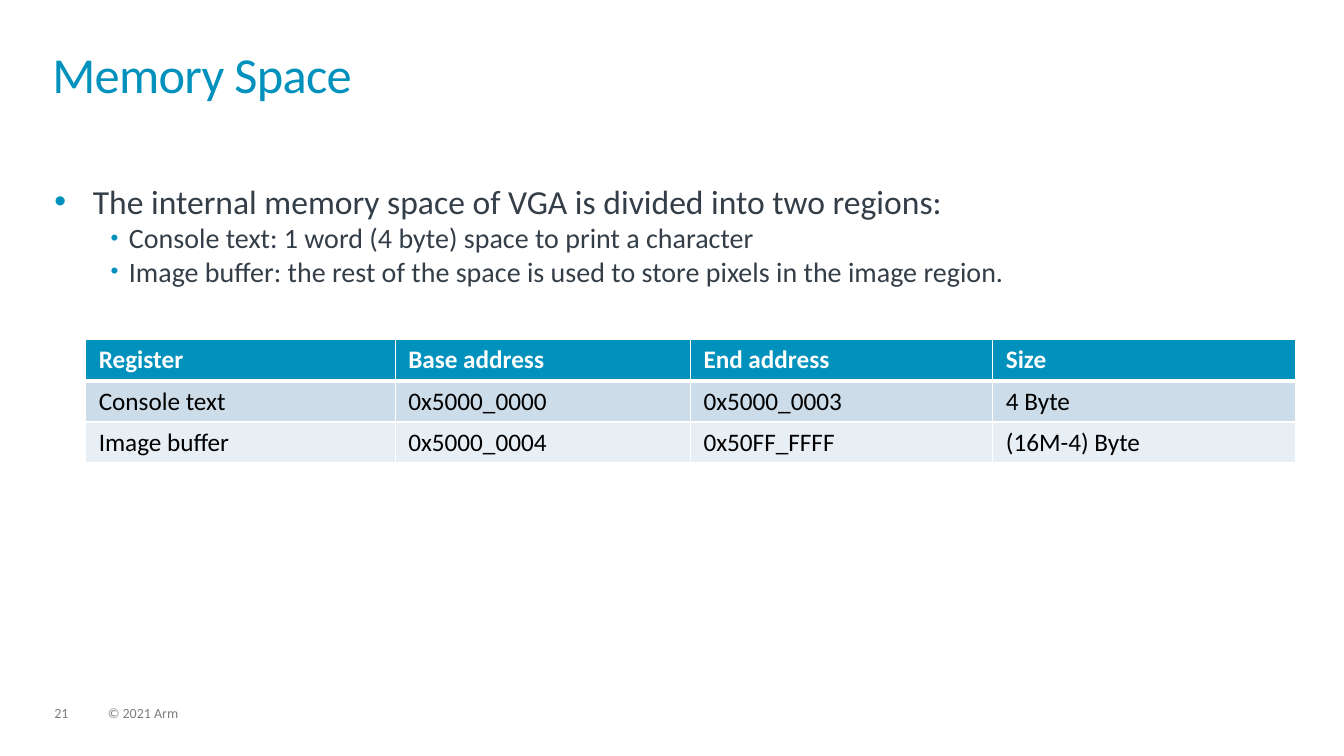
from dataclasses import dataclass

from lxml.etree import SubElement
from pptx import Presentation
from pptx.dml.color import RGBColor as RGB
from pptx.enum.text import MSO_ANCHOR as Anchor, MSO_AUTO_SIZE as AutoSize, PP_ALIGN as Align
from pptx.oxml.ns import qn
from pptx.util import Cm, Pt


@dataclass(frozen=True)
class Theme:
    """Colours, font and type sizes of the slide."""
    font: str = "Calibri"
    accent: str = "0091BD"
    ink: str = "333E48"
    grey: str = "7F7F7F"
    white: str = "FFFFFF"
    black: str = "000000"
    bands: tuple = ("CCDCE8", "E7EEF4")
    title: int = 36
    body: tuple = (24, 20)
    cell: int = 18
    footer: int = 10


T = Theme()
BULLETS = [
    (0, "The internal memory space of VGA is divided into two regions:"),
    (1, "Console text: 1 word (4 byte) space to print a character"),
    (1, "Image buffer: the rest of the space is used to store pixels in the image region."),
]
LEVELS = [(Cm(0.97), Cm(-0.97), 100), (Cm(1.88), Cm(-0.46), 80)]
REGISTERS = [
    ("Register", "Base address", "End address", "Size"),
    ("Console text", "0x5000_0000", "0x5000_0003", "4 Byte"),
    ("Image buffer", "0x5000_0004", "0x50FF_FFFF", "(16M-4) Byte"),
]
COLUMNS = (7.8, 7.44, 7.62, 7.62)
ROW = 1.03


def write(p, text, size, color, bold=False, spacing=1.0, tracking=0):
    """Write one formatted run into a paragraph."""
    p.alignment = Align.LEFT
    p.line_spacing = spacing
    p.space_before = Pt(0)
    r = p.add_run()
    r.text = text
    r.font.name = T.font
    r.font.size = Pt(size)
    r.font.bold = bold
    r.font.color.rgb = RGB.from_string(color)
    if tracking:
        r.font._element.set("spc", str(tracking))


def frame(sp, left, top, width, height):
    """Place a shape and return its text frame without margins."""
    sp.left, sp.top, sp.width, sp.height = Cm(left), Cm(top), Cm(width), Cm(height)
    tf = sp.text_frame
    tf.word_wrap = True
    tf.auto_size = AutoSize.NONE
    tf.vertical_anchor = Anchor.TOP
    tf.margin_left = tf.margin_top = tf.margin_right = tf.margin_bottom = 0
    return tf


def add_bullet(p, level):
    """Give a paragraph the bullet and indent of its level."""
    left, indent, percent = LEVELS[level]
    p.level = level
    pPr = p._p.get_or_add_pPr()
    pPr.set("marL", str(left))
    pPr.set("indent", str(indent))
    color = SubElement(pPr, qn("a:buClr"))
    SubElement(color, qn("a:srgbClr"), val=T.accent)
    SubElement(pPr, qn("a:buSzPct"), val=str(percent * 1000))
    SubElement(pPr, qn("a:buFont"), typeface="Arial")
    SubElement(pPr, qn("a:buChar"), char="•")


def add_list(sp, items):
    """Fill the body placeholder with a two-level list."""
    tf = frame(sp, 1.37, 4.55, 31.06, 3.94)
    for i, (level, text) in enumerate(items):
        p = tf.add_paragraph() if i else tf.paragraphs[0]
        add_bullet(p, level)
        write(p, text, T.body[level], T.ink)


def set_borders(cell, bottom):
    """Draw white borders around a cell."""
    tcPr = cell._tc.get_or_add_tcPr()
    for i, (side, width) in enumerate((("L", 1), ("R", 1), ("T", 1), ("B", bottom))):
        ln = tcPr.makeelement(qn(f"a:ln{side}"), {"w": str(Pt(width))})
        fill = SubElement(ln, qn("a:solidFill"))
        SubElement(fill, qn("a:srgbClr"), val=T.white)
        tcPr.insert(i, ln)


def add_register_table(s, rows):
    """Add the table with a header row and banded rows."""
    table = s.shapes.add_table(len(rows), len(COLUMNS), Cm(2.16), Cm(8.56),
                               Cm(sum(COLUMNS)), Cm(ROW * len(rows))).table
    for column, width in zip(table.columns, COLUMNS):
        column.width = Cm(width)
    for i, values in enumerate(rows):
        header = i == 0
        fill = T.accent if header else T.bands[(i - 1) % 2]
        for j, text in enumerate(values):
            cell = table.cell(i, j)
            cell.margin_left = cell.margin_right = Cm(0.33)
            cell.margin_top = cell.margin_bottom = Cm(0.13)
            cell.vertical_anchor = Anchor.MIDDLE
            cell.fill.solid()
            cell.fill.fore_color.rgb = RGB.from_string(fill)
            set_borders(cell, 3 if header else 1)
            write(cell.text_frame.paragraphs[0], text, T.cell,
                  T.white if header else T.black, bold=header)


def add_footer(s, text, left, width):
    """Add a small grey text at the foot of the slide."""
    sp = s.shapes.add_textbox(0, 0, 0, 0)
    tf = frame(sp, left, 17.81, width, 0.38)
    write(tf.paragraphs[0], text, T.footer, T.grey, spacing=0.9)


def main():
    """Build the slide and save it."""
    prs = Presentation()
    prs.slide_width, prs.slide_height = Cm(33.87), Cm(19.05)
    s = prs.slides.add_slide(prs.slide_layouts[1])
    title = frame(s.shapes.title, 1.32, 1.32, 31.19, 1.83)
    write(title.paragraphs[0], "Memory Space", T.title, T.accent, spacing=0.85, tracking=-50)
    add_list(s.placeholders[1], BULLETS)
    add_register_table(s, REGISTERS)
    add_footer(s, "21", 1.37, 0.86)
    add_footer(s, "© 2021 Arm", 2.72, 12.88)
    prs.save("out.pptx")


if __name__ == "__main__":
    main()
